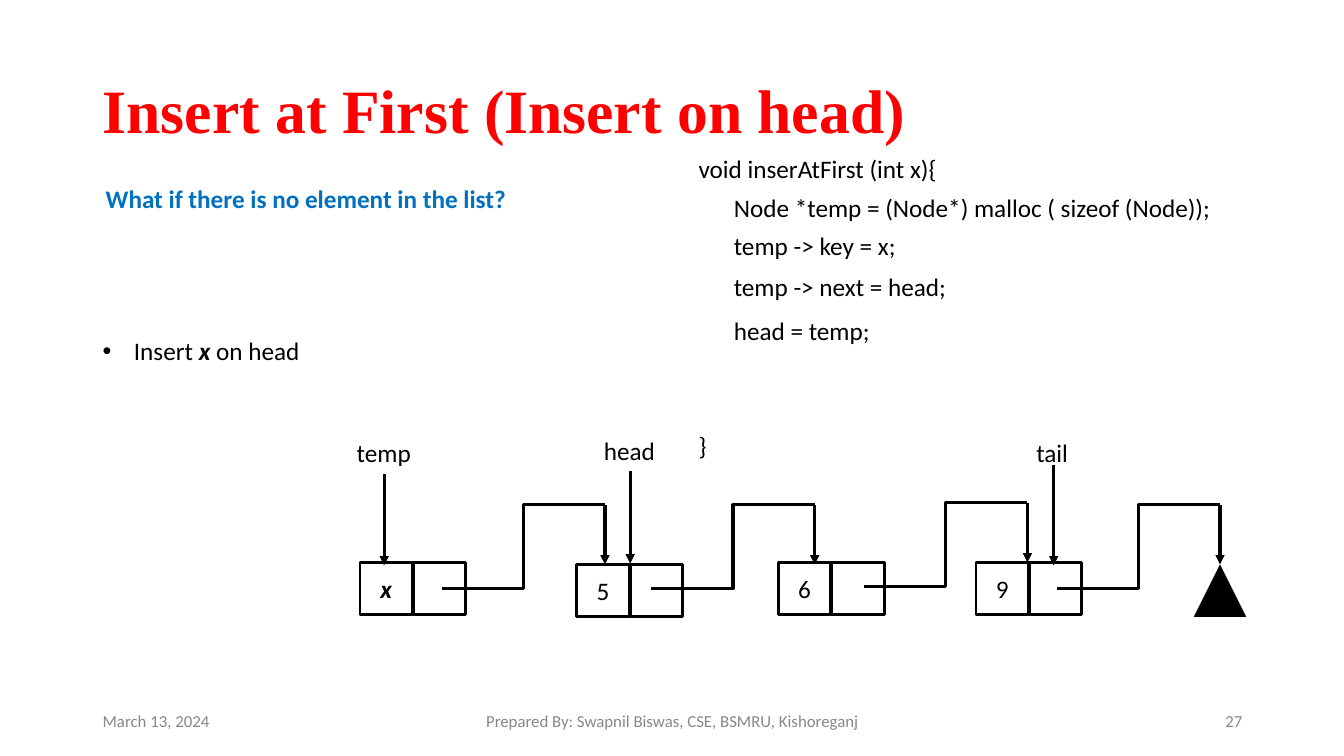
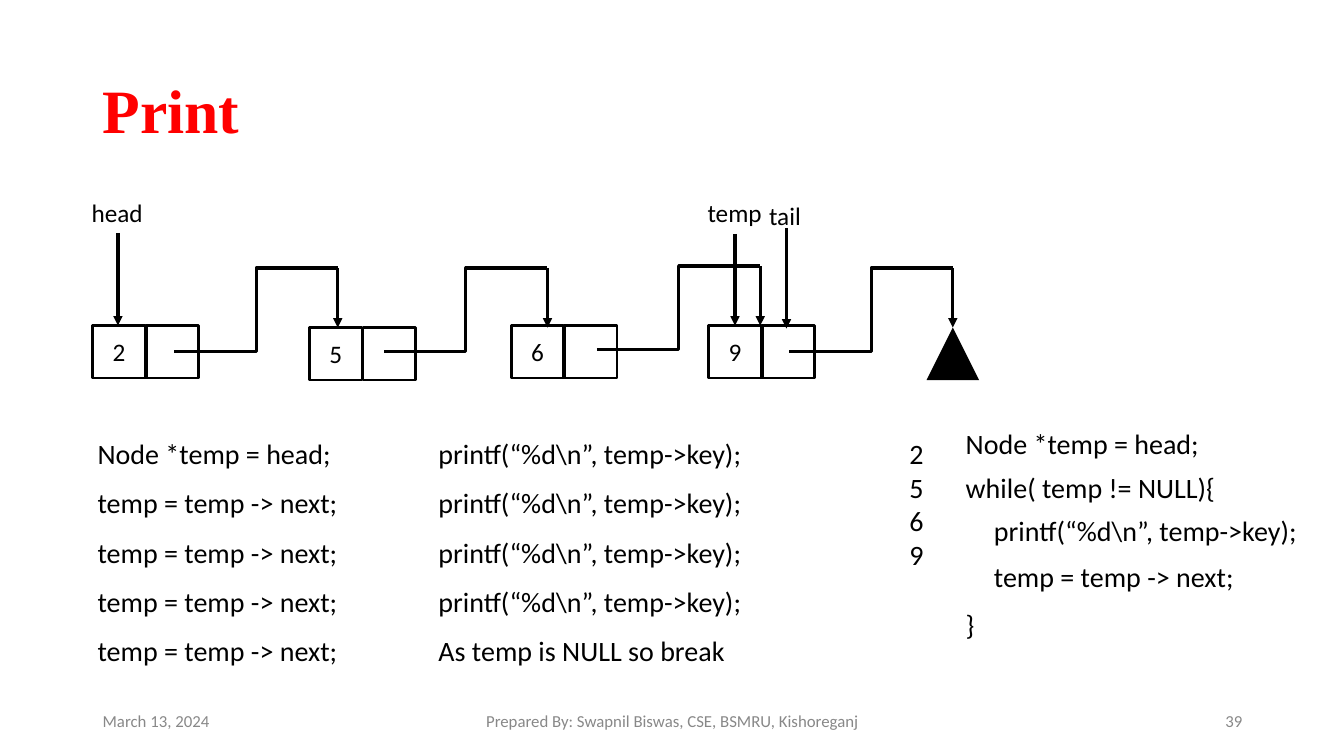
"""Build two linked-list lecture slides: inserting at the head and printing."""
from dataclasses import dataclass

from lxml import etree
from pptx import Presentation
from pptx.dml.color import RGBColor
from pptx.enum.shapes import MSO_CONNECTOR, MSO_SHAPE
from pptx.enum.text import MSO_ANCHOR, PP_ALIGN
from pptx.oxml.ns import qn
from pptx.util import Pt

PX = 9144
BLACK = RGBColor(0, 0, 0)
RED = RGBColor(255, 0, 0)
BLUE = RGBColor(0, 112, 192)
GRAY = RGBColor(136, 136, 136)
BODY_FONT, TITLE_FONT = "Calibri", "Times New Roman"
LEFT, CENTER, RIGHT = PP_ALIGN.LEFT, PP_ALIGN.CENTER, PP_ALIGN.RIGHT
TOP, MIDDLE = MSO_ANCHOR.TOP, MSO_ANCHOR.MIDDLE
STRAIGHT, ELBOW = MSO_CONNECTOR.STRAIGHT, MSO_CONNECTOR.ELBOW
RECTANGLE, TRIANGLE = MSO_SHAPE.RECTANGLE, MSO_SHAPE.ISOSCELES_TRIANGLE

CELL, CELL_STEP = 52, 53
LINK_WIDTH, LINK_RISE, LINK_DROP = 162, 83, 59
POINTER_END = 132


@dataclass(frozen=True)
class Style:
    size: int
    color: RGBColor = BLACK
    bold: bool = False
    italic: bool = False
    font: str = BODY_FONT
    align: PP_ALIGN = LEFT
    anchor: MSO_ANCHOR = TOP


@dataclass(frozen=True)
class Label:
    text: str
    left: int
    top: int
    width: int
    height: int = 40


@dataclass(frozen=True)
class Node:
    left: int
    top: int
    link_left: int
    link_top: int


@dataclass(frozen=True)
class Pointer:
    name: str
    left: int
    top: int
    width: int
    arrow_offset: int


TITLE = Style(44, RED, bold=True, font=TITLE_FONT, anchor=MIDDLE)
BODY = Style(18)
CODE = Style(20)
QUESTION = Style(18, BLUE, bold=True)
CELL_VALUE = Style(18, align=CENTER, anchor=MIDDLE)
NEW_VALUE = Style(18, bold=True, italic=True, align=CENTER, anchor=MIDDLE)

NODES = (
    Node(357, 558, 438, 584),
    Node(572, 560, 646, 584),
    Node(772, 558, 857, 582),
    Node(968, 558, 1048, 584),
)
END_LEFT, END_TOP = 1184, 560
PRINT_SHIFT = (-265, -235)

INSERT_POINTERS = (
    Pointer("temp", 344, 429, 74, 41),
    Pointer("head", 589, 427, 72, 40),
    Pointer("tail", 1018, 429, 54, 32),
)
PRINT_POINTERS = (
    Pointer("head", 81, 191, 72, 40),
    Pointer("temp", 692, 191, 74, 41),
    Pointer("tail", 753, 194, 54, 32),
)
INSERT_CODE = (
    Label("void inserAtFirst (int x){", 683, 147, 284),
    Label("Node *temp = (Node*) malloc ( sizeof (Node));", 718, 186, 529),
    Label("temp -> key = x;", 718, 224, 198),
    Label("temp -> next = head;", 718, 264, 246),
    Label("head = temp;", 718, 308, 162),
    Label("}", 683, 422, 40),
)
PRINT_CALL = "printf(“%d\\n”, temp->key);"
START = "Node *temp = head;"
ADVANCE = "temp = temp -> next;"
PRINT_CODE = (
    Label(START, 948, 418, 265),
    Label("while( temp != NULL){", 948, 462, 304),
    Label(PRINT_CALL, 976, 505, 352),
    Label(ADVANCE, 976, 550, 273),
    Label("}", 948, 598, 40),
)
TRACE = ((START, PRINT_CALL),) + ((ADVANCE, PRINT_CALL),) * 3 + (
    (ADVANCE, "As temp is NULL so break"),
)
TRACE_TOP, TRACE_STEP = 428, 49


def format_run(run, style: Style) -> None:
    """Apply the font settings of a style to a run."""
    run.font.name = style.font
    run.font.size = Pt(style.size)
    run.font.bold = style.bold
    run.font.italic = style.italic
    run.font.color.rgb = style.color


def fill_text(frame, text: str, style: Style) -> None:
    """Write styled text into a text frame."""
    frame.text = text
    frame.word_wrap = True
    frame.vertical_anchor = style.anchor
    for para in frame.paragraphs:
        para.alignment = style.align
        for run in para.runs:
            format_run(run, style)


def add_text(page, label: Label, style: Style):
    """Add a text box and return its text frame."""
    bounds = (label.left, label.top, label.width, label.height)
    box = page.shapes.add_textbox(*(value * PX for value in bounds))
    fill_text(box.text_frame, label.text, style)
    return box.text_frame


def add_line(page, kind, start: tuple[int, int], end: tuple[int, int], arrow: bool = False) -> None:
    """Draw a black connector, with an arrowhead at its end on request."""
    line = page.shapes.add_connector(kind, *(value * PX for value in start + end))
    line.line.color.rgb = BLACK
    line.line.width = Pt(2.25)
    properties = line._element.spPr
    if arrow:
        etree.SubElement(properties.find(qn("a:ln")), qn("a:tailEnd"), type="triangle")
    etree.SubElement(properties, qn("a:effectLst"))


def add_cell(page, kind, left: int, top: int):
    """Add an unshadowed shape the size of one list cell."""
    cell = page.shapes.add_shape(kind, left * PX, top * PX, CELL * PX, CELL * PX)
    cell.shadow.inherit = False
    return cell


def add_node(page, node: Node, value: str, style: Style, shift: tuple[int, int]) -> None:
    """Draw a node with its value cell, link cell and link to the next node."""
    dx, dy = shift
    for column, text in enumerate((value, "")):
        cell = add_cell(page, RECTANGLE, node.left + dx + column * CELL_STEP, node.top + dy)
        cell.fill.background()
        cell.line.color.rgb = BLACK
        cell.line.width = Pt(2)
        if text:
            frame = cell.text_frame
            frame.margin_left = frame.margin_right = 0
            fill_text(frame, text, style)
    start = (node.link_left + dx, node.link_top + dy)
    corner = (start[0] + LINK_WIDTH, start[1] - LINK_RISE)
    add_line(page, ELBOW, start, corner)
    add_line(page, STRAIGHT, corner, (corner[0], corner[1] + LINK_DROP), arrow=True)


def add_list(page, first: str, first_style: Style, shift: tuple[int, int] = (0, 0)) -> None:
    """Draw the whole linked list with its end marker."""
    values = (first, "5", "6", "9")
    styles = (first_style,) + (CELL_VALUE,) * 3
    for node, value, style in zip(NODES, values, styles):
        add_node(page, node, value, style, shift)
    marker = add_cell(page, TRIANGLE, END_LEFT + shift[0], END_TOP + shift[1])
    marker.fill.solid()
    marker.fill.fore_color.rgb = BLACK
    marker.line.fill.background()


def add_pointers(page, pointers: tuple[Pointer, ...]) -> None:
    """Draw named pointers with arrows down to the list."""
    for pointer in pointers:
        add_text(page, Label(pointer.name, pointer.left, pointer.top, pointer.width), BODY)
        center = pointer.left + pointer.width // 2
        start = (center, pointer.top + pointer.arrow_offset)
        add_line(page, STRAIGHT, start, (center, pointer.top + POINTER_END), arrow=True)


def add_bullet(page) -> None:
    """Add the bulleted task with its emphasised variable."""
    para = add_text(page, Label("", 92, 328, 224), BODY).paragraphs[0]
    for text, style in (("Insert ", BODY), ("x", NEW_VALUE), (" on head", BODY)):
        run = para.add_run()
        run.text = text
        format_run(run, style)
    properties = para._p.get_or_add_pPr()
    properties.set("marL", str(31 * PX))
    properties.set("indent", str(-31 * PX))
    etree.SubElement(properties, qn("a:buFont"), typeface="Arial")
    etree.SubElement(properties, qn("a:buChar"), char="•")


def add_page(deck, title: str, number: str):
    """Add a blank page with the shared title and footer."""
    page = deck.slides.add_slide(deck.slide_layouts[6])
    heading = add_text(page, Label(title, 92, 40, 1150, 145), TITLE)
    heading.paragraphs[0].line_spacing = 0.9
    footers = (
        (Label("March 13, 2024", 92, 695, 300), LEFT),
        (Label("Prepared By: Swapnil Biswas, CSE, BSMRU, Kishoreganj", 442, 695, 450), CENTER),
        (Label(number, 942, 695, 300), RIGHT),
    )
    for label, align in footers:
        add_text(page, label, Style(12, GRAY, align=align, anchor=MIDDLE))
    return page


def build_insert(deck) -> None:
    """Build the page about inserting at the head."""
    page = add_page(deck, "Insert at First (Insert on head)", "27")
    add_list(page, "x", NEW_VALUE)
    add_pointers(page, INSERT_POINTERS)
    for line in INSERT_CODE:
        add_text(page, line, BODY)
    add_bullet(page)
    add_text(page, Label("What if there is no element in the list?", 95, 177, 443), QUESTION)


def build_print(deck) -> None:
    """Build the page about printing the list."""
    page = add_page(deck, "Print", "39")
    add_list(page, "2", CELL_VALUE, PRINT_SHIFT)
    add_pointers(page, PRINT_POINTERS)
    for row, (step, result) in enumerate(TRACE):
        top = TRACE_TOP + row * TRACE_STEP
        add_text(page, Label(step, 87, top, 273), CODE)
        add_text(page, Label(result, 425, top, 352), CODE)
    add_text(page, Label("2\n5\n6\n9", 892, 428, 35, 145), CODE)
    for line in PRINT_CODE:
        add_text(page, line, CODE)


def main() -> None:
    """Build and save the deck."""
    deck = Presentation()
    deck.slide_width, deck.slide_height = 1333 * PX, 750 * PX
    build_insert(deck)
    build_print(deck)
    deck.save("out.pptx")


if __name__ == "__main__":
    main()
